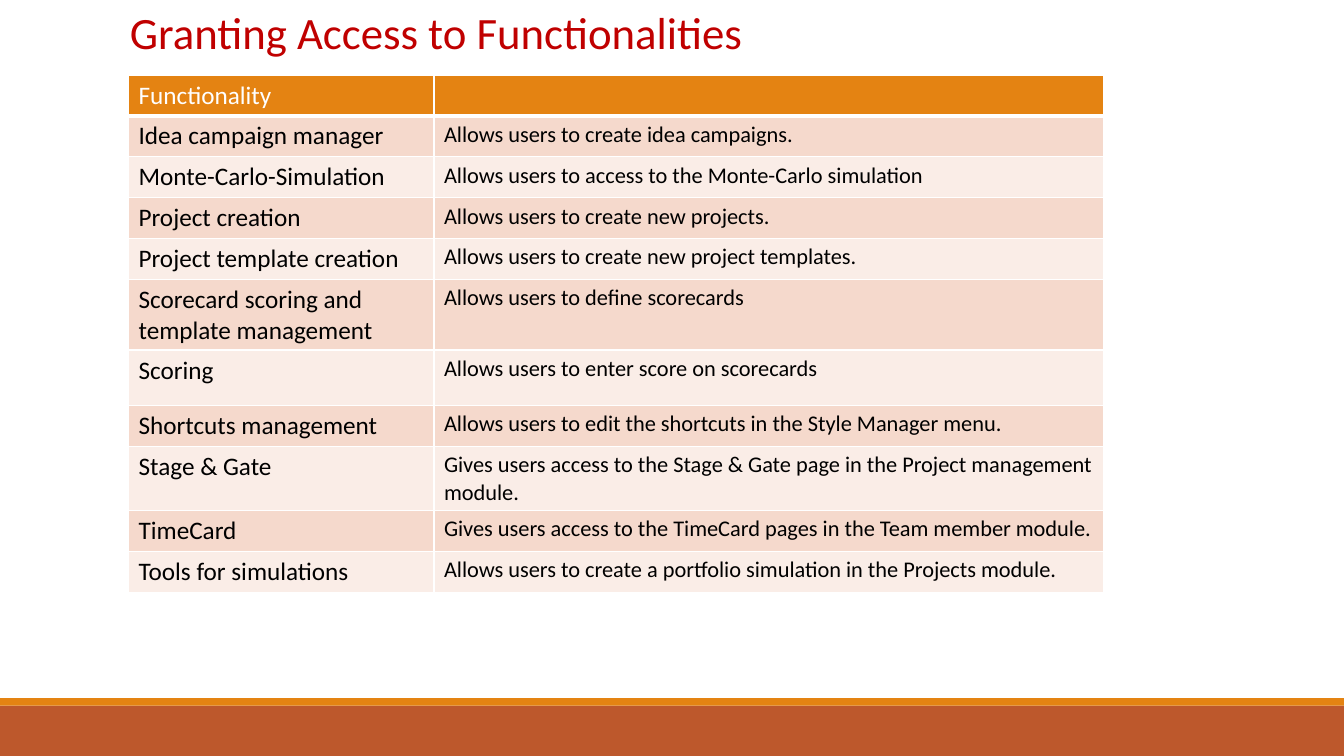
from typing import NamedTuple

from lxml.etree import SubElement as Sub
from pptx import Presentation
from pptx.dml.color import RGBColor as Rgb
from pptx.enum.shapes import MSO_SHAPE as Shape
from pptx.enum.text import MSO_AUTO_SIZE as Auto
from pptx.oxml.ns import qn
from pptx.util import Pt

FONT = "Calibri"
COLORS = {
    "rust": "BD582C", "orange": "E48312", "red": "C00000", "white": "FFFFFF",
    "black": "000000", "odd": "F5D9CC", "even": "FAEDE7",
}
WIDE, HIGH = 960, 540
COLS = (218.16, 478.08)
LINE = 29.2


class Band(NamedTuple):
    top: float
    height: float
    color: str


class Row(NamedTuple):
    name: str
    note: str
    height: float = LINE


BANDS = (Band(504, 36, "rust"), Band(498.7, 5.3, "orange"))
ROWS = (
    Row("Functionality", ""),
    Row("Idea campaign manager", "Allows users to create idea campaigns."),
    Row("Monte-Carlo-Simulation",
        "Allows users to access to the Monte-Carlo simulation"),
    Row("Project creation", "Allows users to create new projects."),
    Row("Project template creation",
        "Allows users to create new project templates."),
    Row("Scorecard scoring and template management",
        "Allows users to define scorecards", 50.4),
    Row("Scoring", "Allows users to enter score on scorecards", 39.6),
    Row("Shortcuts management",
        "Allows users to edit the shortcuts in the Style Manager menu."),
    Row("Stage & Gate",
        "Gives users access to the Stage & Gate page in the Project "
        "management module.", 45.8),
    Row("TimeCard",
        "Gives users access to the TimeCard pages in the Team member module."),
    Row("Tools for simulations",
        "Allows users to create a portfolio simulation in the Projects module."),
)


def tint(name: str) -> Rgb:
    return Rgb.from_string(COLORS[name])


def style(frame, size: float, color: str) -> None:
    for run in frame.paragraphs[0].runs:
        run.font.name = FONT
        run.font.size = Pt(size)
        run.font.color.rgb = tint(color)


def edge(cell, side: str, width: float) -> None:
    """Draw a white border on one side; call it before the cell is filled."""
    props = cell._tc.get_or_add_tcPr()
    line = Sub(props, qn(f"a:ln{side}"), w=str(Pt(width)))
    fill = Sub(line, qn("a:solidFill"))
    Sub(fill, qn("a:srgbClr"), val=COLORS["white"])


def draw_band(slide, band: Band) -> None:
    bar = slide.shapes.add_shape(
        Shape.RECTANGLE, Pt(0), Pt(band.top), Pt(WIDE), Pt(band.height))
    bar.shadow.inherit = False
    bar.fill.solid()
    bar.fill.fore_color.rgb = tint(band.color)
    bar.line.fill.background()


def draw_title(slide, text: str) -> None:
    box = slide.shapes.add_textbox(Pt(85.7), Pt(0), Pt(457.9), Pt(46))
    frame = box.text_frame
    frame.word_wrap = False
    frame.auto_size = Auto.SHAPE_TO_FIT_TEXT
    frame.text = text
    style(frame, 32, "red")


def draw_cell(cell, text: str, row: int, col: int) -> None:
    for side in "LRTB":
        thick = (row, side) in ((0, "B"), (1, "T"))
        edge(cell, side, 3 if thick else 1)
    cell.fill.solid()
    shade = "orange" if row == 0 else "odd" if row % 2 else "even"
    cell.fill.fore_color.rgb = tint(shade)
    cell.text_frame.text = text
    style(cell.text_frame, 16 if col else 18, "black" if row else "white")


def draw_table(slide, rows: tuple[Row, ...]) -> None:
    table = slide.shapes.add_table(
        len(rows), len(COLS), Pt(91.8), Pt(53.6), Pt(sum(COLS)),
        Pt(sum(row.height for row in rows))).table
    for col, width in zip(table.columns, COLS):
        col.width = Pt(width)
    for i, row in enumerate(rows):
        table.rows[i].height = Pt(row.height)
        for j, text in enumerate((row.name, row.note)):
            draw_cell(table.cell(i, j), text, i, j)


def main() -> None:
    deck = Presentation()
    deck.slide_width, deck.slide_height = Pt(WIDE), Pt(HIGH)
    slide = deck.slides.add_slide(deck.slide_layouts[6])
    for band in BANDS:
        draw_band(slide, band)
    draw_title(slide, "Granting Access to Functionalities")
    draw_table(slide, ROWS)
    deck.save("out.pptx")


if __name__ == "__main__":
    main()
